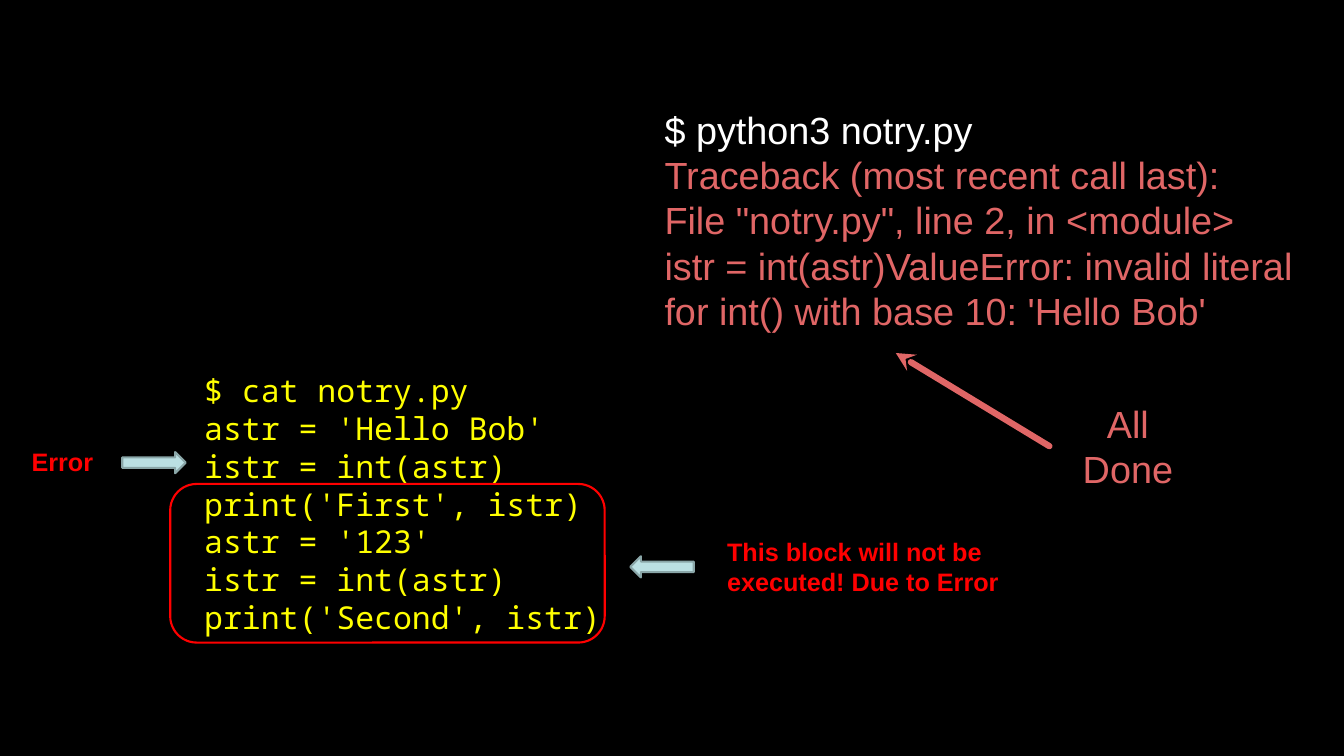
from lxml import etree
from pptx import Presentation
from pptx.dml.color import RGBColor
from pptx.enum.shapes import MSO_CONNECTOR as Connector, MSO_SHAPE as Shape
from pptx.enum.text import MSO_ANCHOR as Anchor, MSO_AUTO_SIZE as AutoSize, PP_ALIGN as Align
from pptx.oxml.ns import qn
from pptx.util import Cm, Pt

COLORS = {
    "background": "000000",
    "code": "FFFF00",
    "command": "FFFFFF",
    "traceback": "E06666",
    "error": "FF0000",
    "arrow": "BBE0E3",
    "arrow_edge": "8AA6A8",
}

CODE = [
    "$ cat notry.py",
    "astr = 'Hello Bob'",
    "istr = int(astr)",
    "print('First', istr)",
    "astr = '123'",
    "istr = int(astr)",
    "print('Second', istr)",
]
TRACEBACK = "\v".join([
    "Traceback (most recent call last):",
    "File \"notry.py\", line 2, in <module>",
    "istr = int(astr)ValueError: invalid literal for int() with base 10: 'Hello Bob'",
])


def color(name):
    return RGBColor.from_string(COLORS[name])


def box(left, top, width, height):
    return Cm(left), Cm(top), Cm(width), Cm(height)


def format_runs(paragraph, size, color_name, font="Arial", bold=False):
    for run in paragraph.runs:
        run.font.name = font
        run.font.size = Pt(size)
        run.font.bold = bold
        run.font.color.rgb = color(color_name)


def add_console_text(slide, place, lines, size, font="Arial", align=Align.LEFT):
    """Add centred-height text; lines holds (text, colour name) pairs."""
    frame = slide.shapes.add_textbox(*place).text_frame
    frame.word_wrap = True
    frame.vertical_anchor = Anchor.MIDDLE
    frame.margin_left = frame.margin_right = frame.margin_top = frame.margin_bottom = 0
    frame.text = "\n".join(text for text, _ in lines)
    for paragraph, (_, color_name) in zip(frame.paragraphs, lines):
        paragraph.alignment = align
        paragraph.line_spacing = Pt(size * 1.2)
        format_runs(paragraph, size, color_name, font)


def add_note(slide, place, text):
    frame = slide.shapes.add_textbox(*place).text_frame
    frame.word_wrap = True
    frame.auto_size = AutoSize.SHAPE_TO_FIT_TEXT
    frame.text = text
    format_runs(frame.paragraphs[0], 24, "error", bold=True)


def add_outlined_shape(slide, kind, place, line_name, fill_name=None):
    shape = slide.shapes.add_shape(kind, *place)
    shape.shadow.inherit = False
    if fill_name:
        shape.fill.solid()
        shape.fill.fore_color.rgb = color(fill_name)
    else:
        shape.fill.background()
    shape.line.color.rgb = color(line_name)
    shape.line.width = Pt(2)
    return shape


def add_block_arrow(slide, left, top, rotation=0):
    arrow = add_outlined_shape(slide, Shape.RIGHT_ARROW, box(left, top, 2.13, 0.71),
                               "arrow_edge", "arrow")
    arrow.rotation = rotation


def add_pointer(slide, tip, tail):
    points = [Cm(value) for value in (*tip, *tail)]
    pointer = slide.shapes.add_connector(Connector.STRAIGHT, *points)
    pointer.line.color.rgb = color("traceback")
    pointer.line.width = Pt(6)
    # Round ends, a stealth head at the tip and no shadow
    line = pointer.line._get_or_add_ln()
    line.set("cap", "rnd")
    etree.SubElement(line, qn("a:headEnd"), type="stealth")
    etree.SubElement(pointer._element.spPr, qn("a:effectLst"))


def main():
    presentation = Presentation()
    presentation.slide_width, presentation.slide_height = Cm(45.16), Cm(25.4)
    slide = presentation.slides.add_slide(presentation.slide_layouts[6])
    slide.background.fill.solid()
    slide.background.fill.fore_color.rgb = color("background")

    # Program, with the skipped block framed
    add_outlined_shape(slide, Shape.ROUNDED_RECTANGLE, box(5.72, 16.26, 14.6, 5.33), "error")
    add_console_text(slide, box(6.86, 11.53, 14.33, 10.77),
                     [(line, "code") for line in CODE], 30, "Noto Sans Mono")

    # Output of the program
    add_console_text(slide, box(22.33, 2.9, 21.29, 8.97),
                     [("$ python3 notry.py", "command"), (TRACEBACK, "traceback")], 36)
    add_pointer(slide, (30.1, 11.86), (35.26, 14.99))
    add_console_text(slide, box(35.26, 13.39, 5.28, 3.18),
                     [("All", "traceback"), ("Done", "traceback")], 36, align=Align.CENTER)

    # Notes and their arrows
    add_block_arrow(slide, 4.11, 15.19)
    add_note(slide, box(0.81, 14.88, 2.72, 1.27), "Error")
    add_block_arrow(slide, 21.18, 18.69, rotation=180)
    add_note(slide, box(24.18, 17.88, 9.88, 2.31),
             "This block will not be executed! Due to Error")

    presentation.save("out.pptx")


main()
